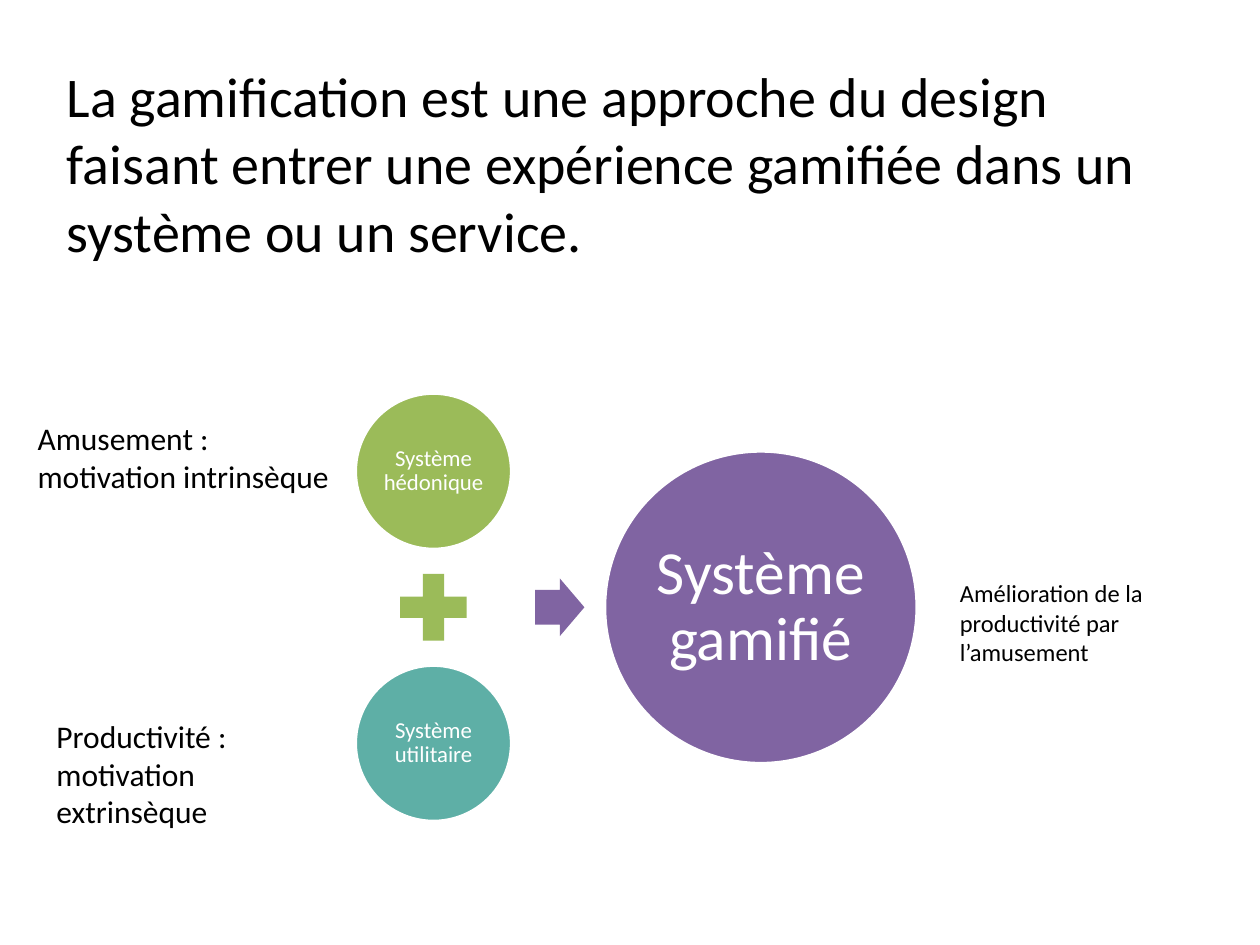
from dataclasses import dataclass
from pptx import Presentation
from pptx.dml.color import RGBColor as RGB
from pptx.enum.shapes import MSO_SHAPE as Shp
from pptx.enum.text import MSO_ANCHOR as Anchor, MSO_AUTO_SIZE as Auto, PP_ALIGN as Align
from pptx.util import Inches, Pt


@dataclass(frozen=True)
class Theme:
    """Colours, font and type sizes of the slide."""
    font: str = "Calibri"
    ink: str = "000000"
    paper: str = "FFFFFF"
    green: str = "9BBB59"
    teal: str = "5EAFA6"
    purple: str = "8064A2"
    title: int = 32
    result: int = 35
    source: int = 13
    note: int = 18
    small: int = 14


T = Theme()
WIDTH, HEIGHT = 10, 7.5


def place(sp, x, y, w, h):
    """Move a shape to a box in inches."""
    sp.left, sp.top, sp.width, sp.height = (Inches(v) for v in (x, y, w, h))


def write(sp, text, size, color, align=Align.LEFT, anchor=Anchor.TOP):
    """Fill a shape with one formatted paragraph."""
    tf = sp.text_frame
    tf.word_wrap, tf.vertical_anchor = True, anchor
    p = tf.paragraphs[0]
    p.text, p.alignment = text, align
    p.font.name, p.font.size = T.font, Pt(size)
    p.font.color.rgb = RGB.from_string(color)
    return p


def add_title(s, text, x, y, w, h):
    """Set the statement in the title placeholder."""
    sp = s.shapes.title
    place(sp, x, y, w, h)
    write(sp, text, T.title, T.ink)
    sp.text_frame.auto_size = Auto.NONE


def add_note(s, text, size, x, y, w, h):
    """Add a caption beside the diagram."""
    sp = s.shapes.add_textbox(0, 0, 0, 0)
    place(sp, x, y, w, h)
    write(sp, text, size, T.ink)


def add_solid(s, kind, color, x, y, w, h):
    """Add a flat shape without outline."""
    sp = s.shapes.add_shape(kind, 0, 0, 0, 0)
    place(sp, x, y, w, h)
    sp.shadow.inherit = False
    sp.fill.solid()
    sp.fill.fore_color.rgb = RGB.from_string(color)
    sp.line.fill.background()
    return sp


def add_circle(s, text, size, color, x, y, d, inset):
    """Add a white-edged circle with a centred label."""
    sp = add_solid(s, Shp.OVAL, color, x, y, d, d)
    sp.line.color.rgb, sp.line.width = RGB.from_string(T.paper), Pt(2)
    tf = sp.text_frame
    tf.margin_left = tf.margin_right = tf.margin_top = tf.margin_bottom = Inches(inset)
    write(sp, text, size, T.paper, Align.CENTER, Anchor.MIDDLE).line_spacing = 0.9


def add_equation(s, sources, result, x, y, w, h):
    """Stack two circles around a plus, with an arrow to the result circle."""
    d = h * 0.365
    big, plus, mid = 2 * d, 0.58 * d, y + h / 2
    for (text, color), top in zip(sources, (y, y + h - d)):
        add_circle(s, text, T.source, color, x, top, d, 0.02)
    add_solid(s, Shp.MATH_PLUS, T.green, x + (d - plus) / 2, mid - plus / 2, plus, plus)
    arrow_w, arrow_h = 0.315 * d, 0.37 * d
    arrow = add_solid(s, Shp.RIGHT_ARROW, T.purple, x + 1.15 * d, mid - arrow_h / 2, arrow_w, arrow_h)
    arrow.adjustments[0] = 0.6
    add_circle(s, result, T.result, T.purple, x + w - big, mid - d, big, 0.05)


def build():
    """Build and save the slide."""
    prs = Presentation()
    prs.slide_width, prs.slide_height = Inches(WIDTH), Inches(HEIGHT)
    s = prs.slides.add_slide(prs.slide_layouts[5])
    add_title(s, "La gamification est une approche du design faisant entrer une "
                 "expérience gamifiée dans un système ou un service.", 0.43, 0.44, 9, 1.76)
    add_equation(s, [("Système hédonique", T.green), ("Système utilitaire", T.teal)],
                 "Système gamifié", 2.82, 3.12, 4.46, 3.4)
    for text, size, box in (
        ("Productivité : motivation extrinsèque", T.note, (0.35, 5.64, 2, 1.01)),
        ("Amusement : motivation intrinsèque", T.note, (0.2, 3.28, 2.52, 0.71)),
        ("Amélioration de la productivité par l’amusement", T.small, (7.52, 4.54, 2.13, 0.81)),
    ):
        add_note(s, text, size, *box)
    prs.save("out.pptx")


build()
